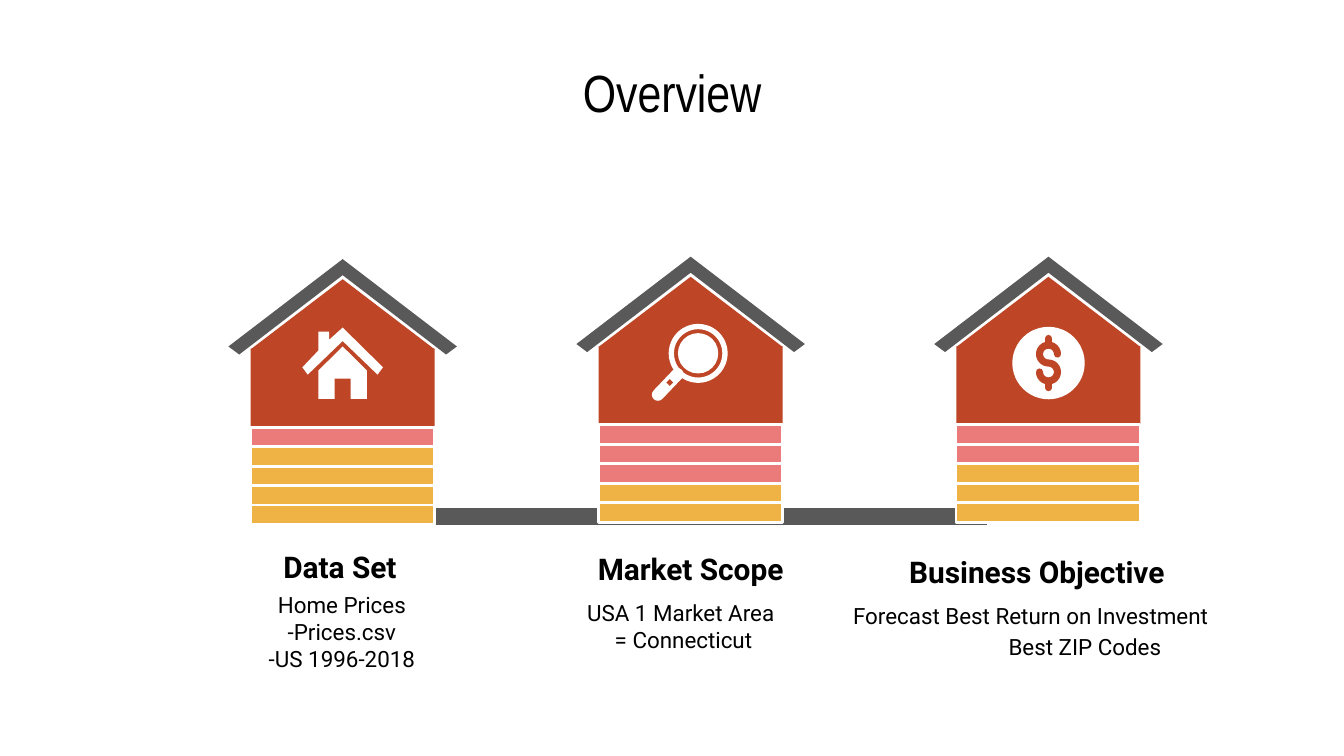
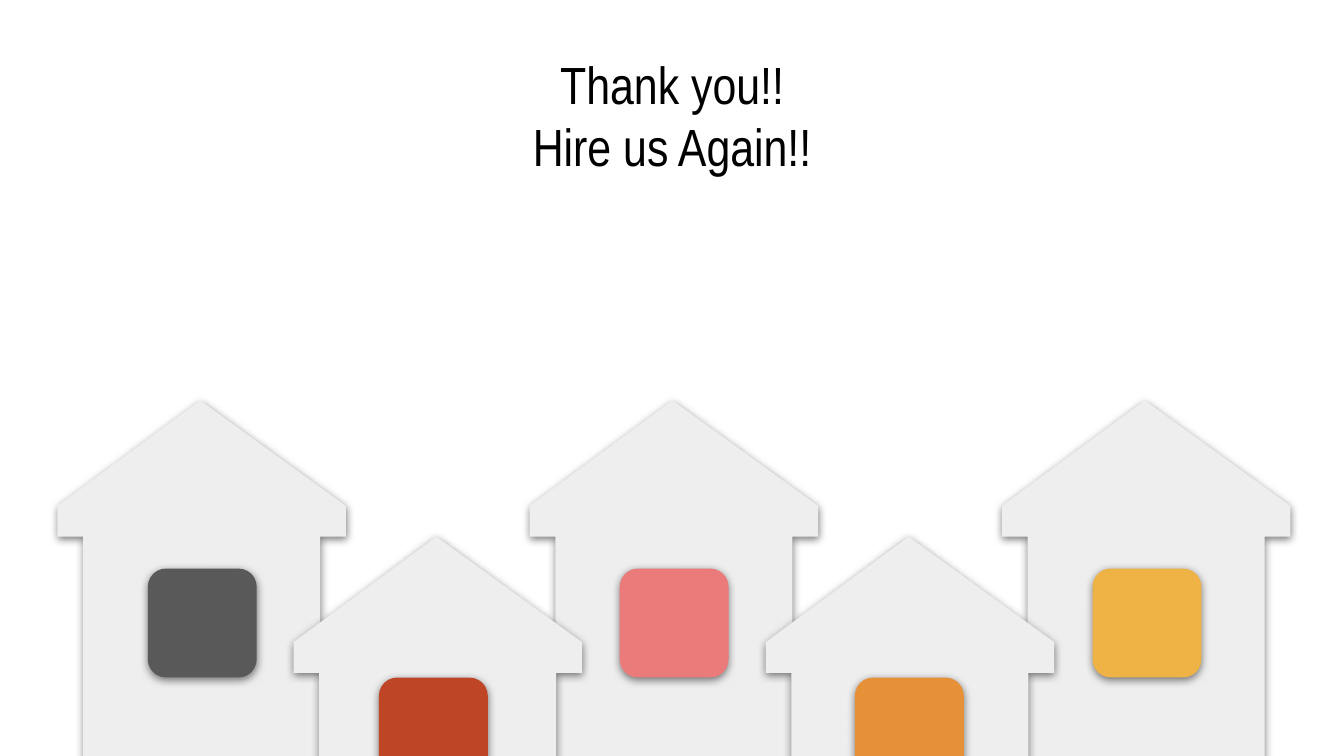
"""Two slides: an overview built from three houses, and a closing street of houses."""
from math import cos, radians, sin

from lxml import etree
from pptx import Presentation
from pptx.dml.color import RGBColor
from pptx.enum.shapes import MSO_SHAPE as Kind
from pptx.enum.text import MSO_ANCHOR, MSO_AUTO_SIZE, PP_ALIGN
from pptx.oxml.ns import qn
from pptx.util import Pt

WHITE = RGBColor(0xFF, 0xFF, 0xFF)
BLACK = RGBColor(0, 0, 0)
GREY = RGBColor(0x59, 0x59, 0x59)
PALE = RGBColor(0xEE, 0xEE, 0xEE)
BRICK = RGBColor(0xBE, 0x46, 0x26)
PINK = RGBColor(0xEB, 0x7B, 0x7B)
GOLD = RGBColor(0xEE, 0xB2, 0x45)
AMBER = RGBColor(0xE6, 0x91, 0x38)

HEAD, BODY = "Arial Narrow", "Roboto"
PAD, BANDS, STEP = 7.2, 5, 10.45

OVERVIEW = [
    dict(x=183.6, y=138.8, icon="home", pink=1,
         head=("Data Set", (111.6, 283.7, 141.1, 37.4)),
         box=(77, 309.6, 212.4, 42.5), space=1,
         lines=[("Home Prices", 0, 0), ("-Prices.csv", 0, 0), ("-US 1996-2018", 0, 0)]),
    dict(x=370, y=137.5, icon="lens", pink=3,
         head=("Market Scope", (299.5, 285.1, 141.1, 37.4)),
         box=(258.5, 313.9, 212.4, 42.5), space=1,
         lines=[("USA 1 Market Area", 0, 0), (" = Connecticut", 0, 0)]),
    dict(x=561.7, y=137.5, icon="coin", pink=2,
         head=("Business Objective", (467.3, 286.6, 176.4, 37.4)),
         box=(449.3, 313.2, 212.4, 42.5), space=1.15,
         lines=[("Forecast Best Return on Investment", 0, 6.5), ("Best ZIP Codes", 58, 0)]),
]
BAR = (177.8, 271.4, 352, 10.8)
ROOF = [(0, 0), (-61.2, 46.8), (-55.4, 51.1), (0, 8.6), (55.4, 51.1), (61.2, 46.8)]

EAVES = [(0, 36.7), (21.6, 58), (18.7, 61.9), (0, 43.9), (-18.7, 61.9), (-21.6, 58),
         (-13, 49), (-13, 38.9), (-7.2, 38.9), (-7.2, 43.2)]
WALLS = [(0, 46.8), (13, 59.7), (13, 74.9), (4.3, 74.9), (4.3, 64.1),
         (-4.3, 64.1), (-4.3, 74.9), (-13, 74.9), (-13, 59.7)]

FIRST, GAP = 107.3, 126.5
ROWS = {"back": (214.5, 250, 304.6), "front": (287.5, 162, 363)}
STREET = [(0, "back", 79.2, GREY), (2, "back", 332, PINK), (4, "back", 585.3, GOLD),
          (1, "front", 203, BRICK), (3, "front", 458, AMBER)]
WINDOW = 58.3


def paint(shape, fill=None, line=None, width=1.5):
    """Set fill and outline, and drop the theme shadow."""
    shape.shadow.inherit = False
    if fill is None:
        shape.fill.background()
    else:
        shape.fill.solid()
        shape.fill.fore_color.rgb = fill
    if line is None:
        shape.line.fill.background()
    else:
        shape.line.color.rgb = line
        shape.line.width = Pt(width)
    return shape


def put(slide, kind, box, fill, line=None):
    """Add a preset shape."""
    return paint(slide.shapes.add_shape(kind, *map(Pt, box)), fill, line)


def trace(slide, x, y, dots, shut=True):
    """Add an outline through dots measured from x, y."""
    pts = [(Pt(x + a), Pt(y + b)) for a, b in dots]
    pen = slide.shapes.build_freeform(*pts[0], scale=1.0)
    pen.add_line_segments(pts[1:], close=shut)
    return pen.convert_to_shape()


def stroke(slide, x, y, dots, color, width):
    """Add an open line with round ends."""
    shape = paint(trace(slide, x, y, dots, False), None, color, width)
    shape._element.spPr.find(qn("a:ln")).set("cap", "rnd")


def shade(shape):
    """Give a shape a soft shadow below."""
    glow = shape._element.spPr.find(qn("a:effectLst"))
    drop = etree.SubElement(glow, qn("a:outerShdw"), blurRad=str(Pt(4.5)),
                            dist=str(Pt(1.5)), dir="5400000", algn="bl",
                            rotWithShape="0")
    tone = etree.SubElement(drop, qn("a:srgbClr"), val=str(BLACK))
    etree.SubElement(tone, qn("a:alpha"), val="50000")


def frame(shape):
    """Prepare the text frame with even insets."""
    tf = shape.text_frame
    tf.word_wrap, tf.auto_size = True, MSO_AUTO_SIZE.NONE
    tf.margin_left = tf.margin_right = tf.margin_top = tf.margin_bottom = Pt(PAD)
    return tf


def write(para, words, font, size, bold=False):
    """Add one centred run."""
    para.alignment = PP_ALIGN.CENTER
    run = para.add_run()
    run.text = words
    run.font.name, run.font.size, run.font.bold = font, Pt(size), bold
    run.font.color.rgb = BLACK


def label(slide, box, lines, size, bold, space):
    """Add a text box of (words, left indent, right indent) lines."""
    tf = frame(slide.shapes.add_textbox(*map(Pt, box)))
    for i, (words, *sides) in enumerate(lines):
        para = tf.add_paragraph() if i else tf.paragraphs[0]
        para.line_spacing = space
        for key, side in zip(("marL", "marR"), sides):
            if side:
                para._p.get_or_add_pPr().set(key, str(Pt(side)))
        write(para, words, BODY, size, bold)


def start(deck, top, *lines):
    """Add a slide and its title."""
    slide = deck.slides.add_slide(deck.slide_layouts[5])
    title = slide.shapes.title
    title.left, title.top, title.width, title.height = map(Pt, (225, top, 270, 38.2))
    tf = frame(title)
    tf.vertical_anchor = MSO_ANCHOR.MIDDLE
    para = tf.paragraphs[0]
    for i, words in enumerate(lines):
        if i:
            para.add_line_break()
        write(para, words, HEAD, 28)
    return slide


def disc(slide, x, y, r, kind=Kind.OVAL):
    """Add a white round shape about its centre."""
    return put(slide, kind, (x - r, y - r, 2 * r, 2 * r), WHITE)


def home(slide, x, y):
    """Draw the small house icon."""
    for dots in (WALLS, EAVES):
        paint(trace(slide, x, y, dots), WHITE)


def lens(slide, x, y):
    """Draw the magnifier icon."""
    stroke(slide, x, y, [(-17.5, 74), (-7, 63)], WHITE, 6.5)
    put(slide, Kind.DIAMOND, (x - 13, y + 65.6, 3.6, 3.6), BRICK)
    disc(slide, x + 4, y + 51.8, 15.8, Kind.DONUT).adjustments[0] = 0.09
    disc(slide, x + 4, y + 51.8, 10.8)


def coin(slide, x, y):
    """Draw the coin icon."""
    mid, r = 57, 4.8
    disc(slide, x, y + mid, 19.4)
    arcs = [(mid - r, range(0, -271, -15)), (mid + r, range(-90, 181, 15))]
    curve = [(r * cos(radians(t)), c + r * sin(radians(t))) for c, turn in arcs for t in turn]
    for dots in (curve, [(0, 43.8), (0, 47.4)], [(0, 66.6), (0, 70.2)]):
        stroke(slide, x, y, dots, BRICK, 3.8)


ICONS = {"home": home, "lens": lens, "coin": coin}


def house(slide, item):
    """Draw a house with its icon, bands and texts."""
    x, y = item["x"], item["y"]
    paint(trace(slide, x, y, ROOF), GREY)
    put(slide, Kind.ISOSCELES_TRIANGLE, (x - 49.3, y + 10.8, 98.6, 37.6), BRICK)
    put(slide, Kind.RECTANGLE, (x - 49.3, y + 48, 98.6, 41.8), BRICK)
    ICONS[item["icon"]](slide, x, y)
    for i in reversed(range(BANDS)):
        put(slide, Kind.RECTANGLE, (x - 49.5, y + 90 + i * STEP, 98.6, STEP),
            PINK if i < item["pink"] else GOLD, WHITE)
    words, box = item["head"]
    label(slide, box, [(words, 0, 0)], 16, True, 1.15)
    label(slide, item["box"], item["lines"], 12, False, item["space"])


def street(slide):
    """Draw the row of pale houses with coloured windows."""
    for n, row, left, color in STREET:
        top, h, sill = ROWS[row]
        dots = [(0, 0), (-76.5, 56.5), (-76.5, 73), (-62.8, 73), (-62.8, h),
                (64.2, h), (64.2, 73), (78, 73), (78, 56.5)]
        shade(paint(trace(slide, FIRST + n * GAP, top, dots), PALE))
        shade(put(slide, Kind.ROUNDED_RECTANGLE, (left, sill, WINDOW, WINDOW), color))


def main():
    """Build and save the deck."""
    deck = Presentation()
    deck.slide_width, deck.slide_height = Pt(720), Pt(405)
    slide = start(deck, 30.2, "Overview")
    put(slide, Kind.RECTANGLE, BAR, GREY, WHITE)
    for item in OVERVIEW:
        house(slide, item)
    street(start(deck, 42.3, "Thank you!!", "Hire us Again!!"))
    deck.save("out.pptx")


if __name__ == "__main__":
    main()
